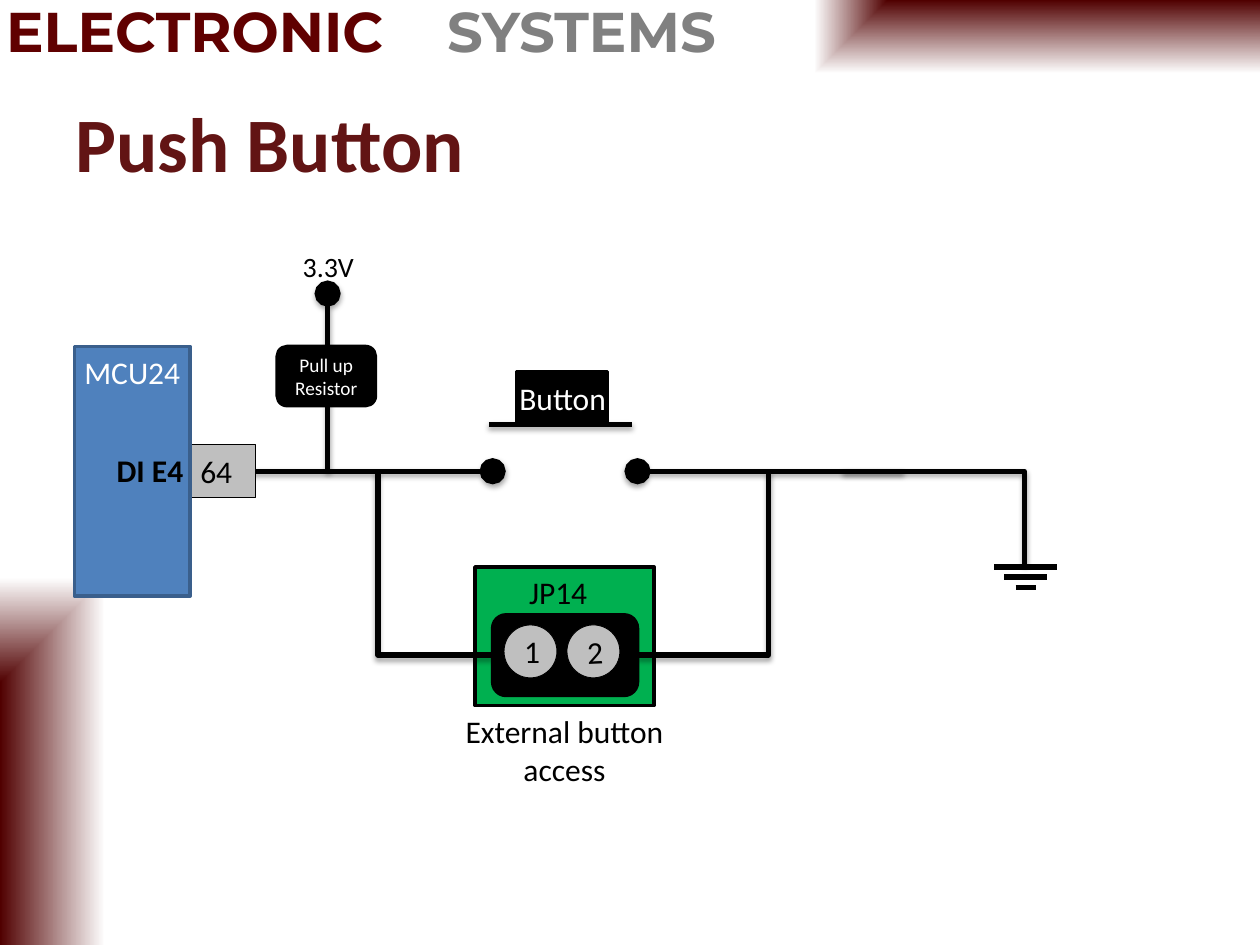
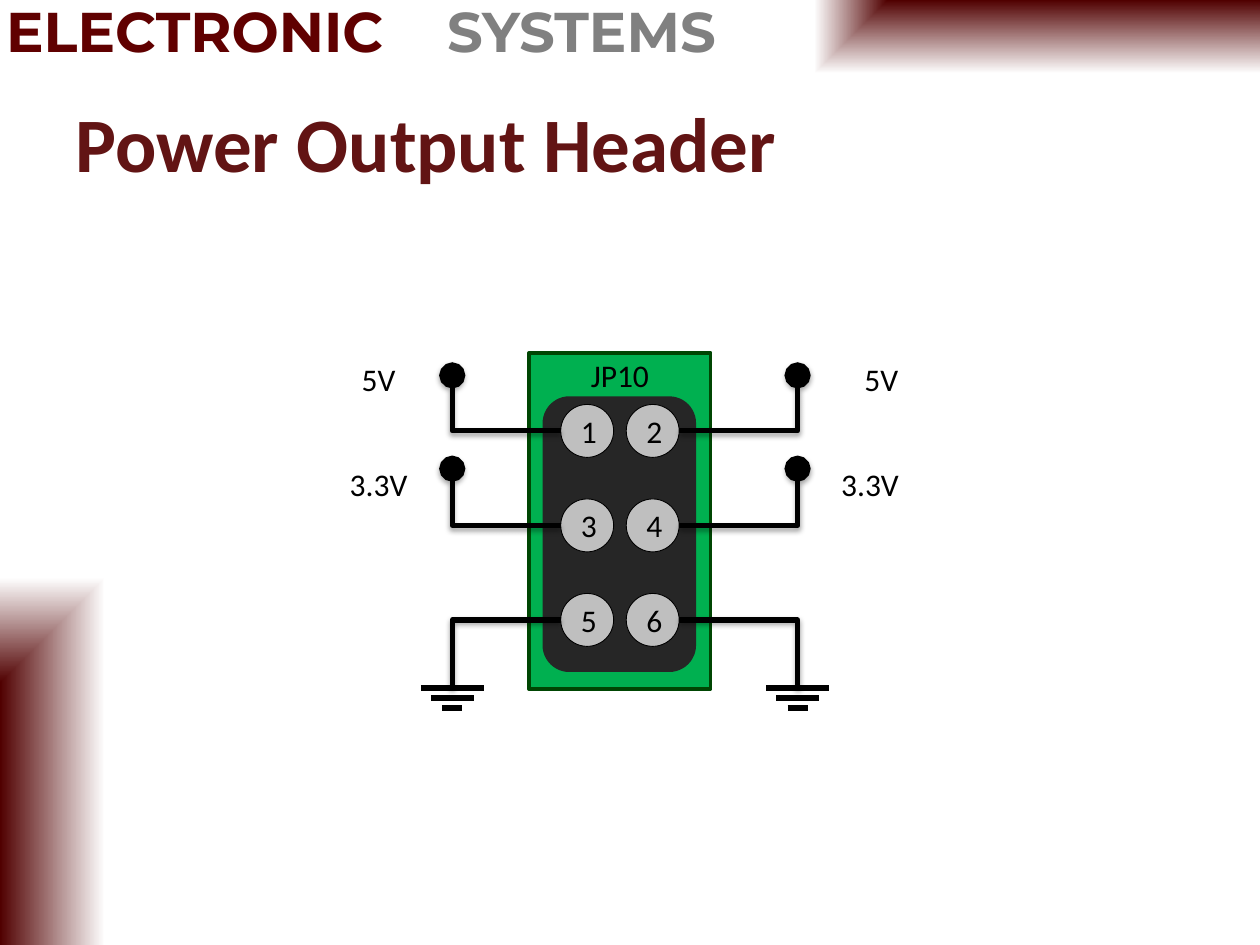
from dataclasses import dataclass

from pptx import Presentation
from pptx.dml.color import RGBColor
from pptx.enum.shapes import MSO_CONNECTOR, MSO_SHAPE
from pptx.enum.text import MSO_ANCHOR, PP_ALIGN
from pptx.oxml import parse_xml
from pptx.oxml.ns import nsdecls, qn
from pptx.slide import Slide
from pptx.util import Inches, Pt

RECT = MSO_SHAPE.RECTANGLE
ROUND = MSO_SHAPE.ROUNDED_RECTANGLE
OVAL = MSO_SHAPE.OVAL
LINE = MSO_CONNECTOR.STRAIGHT
ELBOW = MSO_CONNECTOR.ELBOW
TOP, MIDDLE = MSO_ANCHOR.TOP, MSO_ANCHOR.MIDDLE
LEFT, CENTER = PP_ALIGN.LEFT, PP_ALIGN.CENTER


@dataclass(frozen=True)
class Theme:
    font: str = "Calibri"
    brand: str = "Montserrat"
    black: str = "000000"
    white: str = "FFFFFF"
    maroon: str = "500000"
    banner: str = "600000"
    gray: str = "808080"
    title: str = "621414"
    pin: str = "BFBFBF"
    chip: str = "4F81BD"
    edge: str = "3A5F8C"
    board: str = "00B050"
    rim: str = "004603"
    socket: str = "262626"
    head: float = 44
    mark: float = 32
    body: float = 18
    note: float = 16
    small: float = 11
    wire: float = 3
    frame: float = 2
    thin: float = 0.5


THEME = Theme()


@dataclass(frozen=True)
class Text:
    words: str
    size: float = THEME.body
    color: str = THEME.black
    bold: bool = False
    font: str = THEME.font
    align: PP_ALIGN = CENTER
    anchor: MSO_ANCHOR = TOP


@dataclass(frozen=True)
class Box:
    left: float
    top: float
    width: float
    height: float
    fill: str
    line: str = THEME.black
    weight: float = THEME.frame
    kind: MSO_SHAPE = RECT


@dataclass(frozen=True)
class Wire:
    x1: float
    y1: float
    x2: float
    y2: float
    dot: str = ""
    shade: bool = True


def write(frame, text: Text) -> None:
    frame.word_wrap = True
    frame.vertical_anchor = text.anchor
    frame.text = text.words
    for par in frame.paragraphs:
        par.alignment = text.align
        for run in par.runs:
            font = run.font
            font.name, font.size, font.bold = text.font, Pt(text.size), text.bold
            font.color.rgb = RGBColor.from_string(text.color)


def label(slide: Slide, left: float, top: float, width: float, height: float, text: Text):
    box = slide.shapes.add_textbox(Inches(left), Inches(top), Inches(width), Inches(height))
    write(box.text_frame, text)
    return box.text_frame


def block(slide: Slide, box: Box, text: Text | None = None):
    shape = slide.shapes.add_shape(
        box.kind, Inches(box.left), Inches(box.top), Inches(box.width), Inches(box.height))
    shape.shadow.inherit = False
    shape.fill.solid()
    shape.fill.fore_color.rgb = RGBColor.from_string(box.fill)
    shape.line.color.rgb = RGBColor.from_string(box.line)
    shape.line.width = Pt(box.weight)
    if text:
        write(shape.text_frame, text)
    return shape


def join(slide: Slide, wire: Wire) -> None:
    bent = wire.x1 != wire.x2 and wire.y1 != wire.y2
    link = slide.shapes.add_connector(
        ELBOW if bent else LINE,
        Inches(wire.x1), Inches(wire.y1), Inches(wire.x2), Inches(wire.y2))
    link.line.color.rgb = RGBColor.from_string(THEME.black)
    link.line.width = Pt(THEME.wire)
    props = link._element.spPr
    if bent:
        geom = props.find(qn("a:prstGeom"))
        for old in list(geom):
            geom.remove(old)
        geom.append(parse_xml(
            f'<a:avLst {nsdecls("a")}><a:gd name="adj1" fmla="val 100000"/></a:avLst>'))
    if wire.dot:
        props.find(qn("a:ln")).append(
            parse_xml(f'<a:{wire.dot} {nsdecls("a")} type="oval" w="lg" len="lg"/>'))
    shade = (f'<a:outerShdw blurRad="{Pt(3.1)}" dist="{Pt(1.8)}" dir="5400000" rotWithShape="0">'
             f'<a:srgbClr val="{THEME.black}"><a:alpha val="35000"/></a:srgbClr>'
             '</a:outerShdw>') if wire.shade else ""
    props.append(parse_xml(f'<a:effectLst {nsdecls("a")}>{shade}</a:effectLst>'))


def ground(slide: Slide, x: float, y: float) -> None:
    for step, half in enumerate((0.25, 0.17, 0.08)):
        level = y + step * 0.08
        join(slide, Wire(x - half, level, x + half, level, shade=False))


def pin(slide: Slide, left: float, top: float, name: str):
    return block(slide, Box(left, top, 0.42, 0.42, THEME.pin, weight=THEME.thin, kind=OVAL),
                 Text(name, anchor=MIDDLE))


def band(slide: Slide, left: float, top: float, width: float, height: float, focus: str) -> None:
    shape = block(slide, Box(left, top, width, height, THEME.white))
    shape.line.fill.background()
    props = shape._element.spPr
    fade = parse_xml(
        f'<a:gradFill {nsdecls("a")} rotWithShape="1"><a:gsLst>'
        f'<a:gs pos="0"><a:srgbClr val="{THEME.maroon}"/></a:gs>'
        f'<a:gs pos="100000"><a:srgbClr val="{THEME.white}"/></a:gs></a:gsLst>'
        f'<a:path path="rect"><a:fillToRect {focus}/></a:path></a:gradFill>')
    props.replace(props.find(qn("a:solidFill")), fade)


def start(deck, title: str) -> Slide:
    slide = deck.slides.add_slide(deck.slide_layouts[6])
    band(slide, 2.92, 0, 7.08, 1.17, 'l="100000" b="100000"')
    band(slide, 0, 1.67, 1.67, 5.83, 't="100000" r="100000"')
    mark = Text("ELECTRONIC\t", THEME.mark, THEME.banner, True, THEME.brand, LEFT)
    par = label(slide, -0.05, -0.08, 6.38, 0.64, mark).paragraphs[0]
    par._p.get_or_add_pPr().append(parse_xml(
        f'<a:tabLst {nsdecls("a")}><a:tab pos="{Inches(3.5)}" algn="l"/></a:tabLst>'))
    run = par.add_run()
    run.text = "SYSTEMS"
    run.font.name, run.font.size, run.font.bold = THEME.brand, Pt(THEME.mark), True
    run.font.color.rgb = RGBColor.from_string(THEME.gray)
    label(slide, 0.5, 0.5, 9, 1.25,
          Text(title, THEME.head, THEME.title, True, align=LEFT, anchor=MIDDLE))
    return slide


def button(deck) -> None:
    slide = start(deck, "Push Button")
    rail = 3.74
    join(slide, Wire(1.51, rail, 3.91, rail, "tailEnd"))
    port = block(slide, Box(1.24, 3.53, 0.79, 0.42, THEME.pin, weight=THEME.thin),
                 Text("64", anchor=MIDDLE))
    port.text_frame.margin_left = Inches(0.26)
    block(slide, Box(0.59, 2.75, 0.92, 1.98, THEME.chip, THEME.edge))
    label(slide, 0.5, 2.75, 1.1, 0.4, Text("MCU24", color=THEME.white))

    block(slide, Box(3.77, 4.5, 1.42, 1.1, THEME.board))
    block(slide, Box(3.91, 4.88, 1.15, 0.64, THEME.black, kind=ROUND))
    pin(slide, 4, 4.96, "1")
    pin(slide, 4.5, 4.96, "2").rotation = 357.5
    label(slide, 4.01, 4.5, 0.84, 0.4, Text("JP14"))

    for wire in (
        Wire(3.91, 5.2, 3, rail),
        Wire(5.06, 5.2, 6.1, rail),
        Wire(5.06, rail, 7.17, rail, "headEnd"),
        Wire(6.69, rail, 8.13, 4.48),
    ):
        join(slide, wire)
    ground(slide, 8.14, 4.5)

    block(slide, Box(4.1, 2.95, 0.72, 0.41, THEME.black))
    label(slide, 3.94, 2.96, 1.05, 0.42, Text("Button", color=THEME.white))
    join(slide, Wire(3.88, 3.37, 5.02, 3.37))
    label(slide, 0.75, 3.53, 0.88, 0.4, Text("DI E4", bold=True))

    join(slide, Wire(2.6, rail, 2.6, 2.33, "tailEnd"))
    label(slide, 2.23, 1.93, 0.75, 0.37, Text("3.3V", THEME.note))
    block(slide, Box(2.2, 2.75, 0.78, 0.47, THEME.black, kind=ROUND),
          Text("Pull up\nResistor", THEME.small, THEME.white, anchor=MIDDLE))
    label(slide, 3.42, 5.6, 2.12, 0.71, Text("External button access"))


def power(deck) -> None:
    slide = start(deck, "Power Output Header")
    block(slide, Box(4.2, 2.8, 1.44, 2.67, THEME.board, THEME.rim))
    block(slide, Box(4.32, 3.16, 1.19, 2.16, THEME.socket, THEME.socket, kind=ROUND))
    label(slide, 4.45, 2.78, 0.94, 0.4, Text("JP10"))

    ends = (2.98, 3.72, 5.46)
    for row, end in enumerate(ends):
        top = 3.21 + row * 0.75
        for col, (edge, far) in enumerate(((4.45, 3.59), (5.39, 6.33))):
            pin(slide, 4.45 + col * 0.52, top, str(row * 2 + col + 1))
            live = end < top + 0.21
            join(slide, Wire(edge, top + 0.21, far, end, "tailEnd" if live else ""))
            if not live:
                ground(slide, far, end)

    for words, top, right in (("5V", 2.81, 6.58), ("3.3V", 3.64, 6.49)):
        for left in (2.59, right):
            label(slide, left, top, 0.83, 0.4, Text(words))


def main() -> None:
    deck = Presentation()
    deck.slide_width, deck.slide_height = Inches(10), Inches(7.5)
    button(deck)
    power(deck)
    deck.save("out.pptx")


if __name__ == "__main__":
    main()
